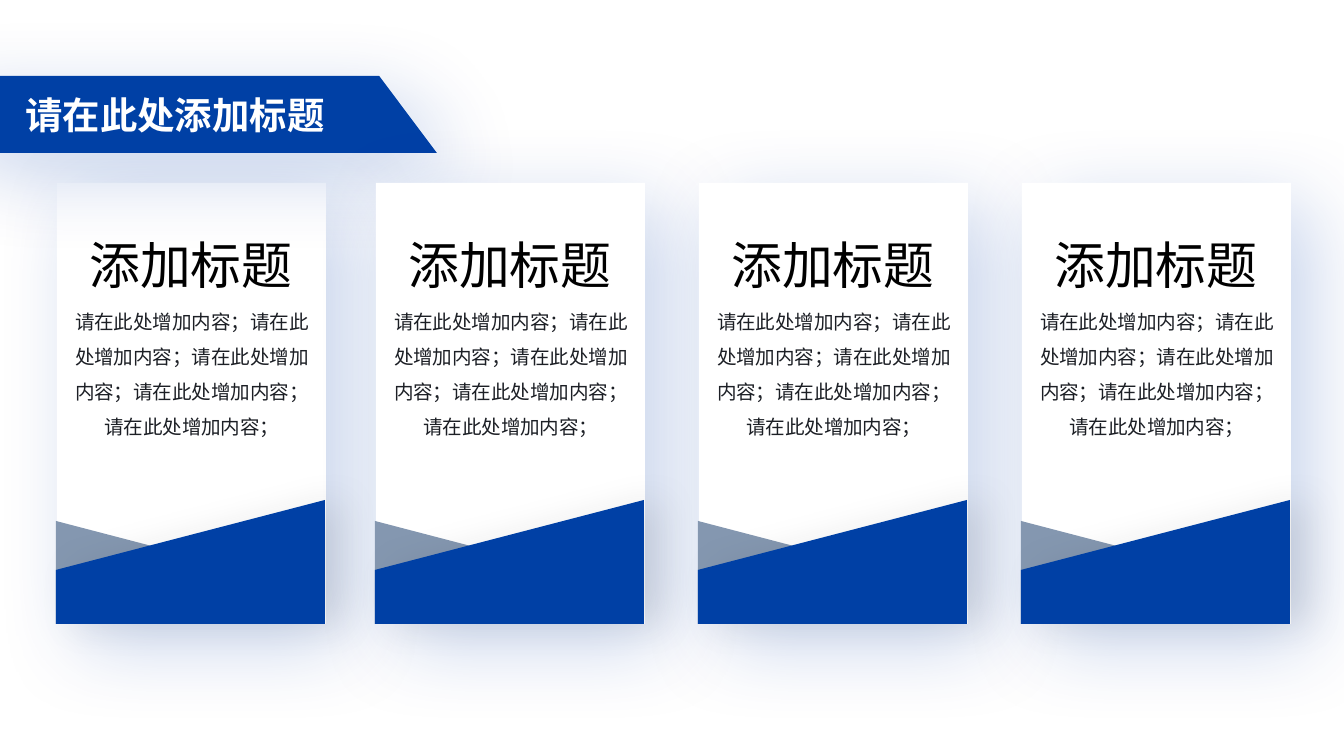
from lxml.etree import SubElement
from pptx import Presentation
from pptx.dml.color import RGBColor
from pptx.enum.shapes import MSO_SHAPE
from pptx.enum.text import MSO_ANCHOR, MSO_AUTO_SIZE, PP_ALIGN
from pptx.oxml.ns import qn
from pptx.util import Pt

PX = 914400 / 134.4

THEME = {
    "font": "Noto Sans CJK SC",
    "blue": "0040A5",
    "slate": "8497B0",
    "white": "FFFFFF",
    "banner": {"size": 20, "color": "FFFFFF", "bold": True},
    "heading": {"size": 27.2, "color": "000000", "bold": False},
    "body": {"size": 10.5, "color": "1C1F25", "bold": False},
    "glow": {"color": "003DAB", "alpha": 22, "blur": 46, "dist": 16, "angle": 45},
    "shade": {"color": "262626", "alpha": 10, "blur": 20, "dist": 10, "angle": 0},
}


def paint(shape, color, shadow=None):
    """Fill a shape without outline and give it an optional outer shadow."""
    shape.fill.solid()
    shape.fill.fore_color.rgb = RGBColor.from_string(THEME[color])
    shape.line.fill.background()
    shape.shadow.inherit = False
    if shadow:
        values = THEME[shadow]
        effects = shape.element.spPr.find(qn("a:effectLst"))
        outer = SubElement(effects, qn("a:outerShdw"), {
            "blurRad": str(Pt(values["blur"])),
            "dist": str(Pt(values["dist"])),
            "dir": str(values["angle"] * 60000),
            "algn": "ctr",
            "rotWithShape": "0",
        })
        tint = SubElement(outer, qn("a:srgbClr"), val=values["color"])
        SubElement(tint, qn("a:alpha"), val=str(values["alpha"] * 1000))


def write(shape, text, style, **frame_format):
    """Put one centred paragraph into a shape, without insets."""
    frame = shape.text_frame
    settings = {"margin_left": 0, "margin_right": 0, "margin_top": 0,
                "margin_bottom": 0, **frame_format}
    for name, value in settings.items():
        setattr(frame, name, value)
    paragraph = frame.paragraphs[0]
    paragraph.alignment = PP_ALIGN.CENTER
    run = paragraph.add_run()
    run.text = text
    look = THEME[style]
    for name, value in {"name": THEME["font"], "size": Pt(look["size"]),
                        "bold": look["bold"]}.items():
        setattr(run.font, name, value)
    run.font.color.rgb = RGBColor.from_string(look["color"])
    SubElement(run.font._element, qn("a:ea"), typeface=THEME["font"])
    return paragraph


prs = Presentation()
prs.slide_width = round(1344 * PX)
prs.slide_height = round(756 * PX)
slide = prs.slides.add_slide(prs.slide_layouts[5])
shapes = slide.shapes

# Cards
CARD_LEFTS = [56, 375, 698, 1021]
CARD_TOP, CARD_BOTTOM, CARD_WIDTH = 183, 624, 269
WEDGES = [
    ("slate", None, [(0, 521), (222, 579), (222, CARD_BOTTOM), (0, CARD_BOTTOM)]),
    ("blue", "shade", [(CARD_WIDTH, 500), (0, 570), (0, CARD_BOTTOM),
                       (CARD_WIDTH, CARD_BOTTOM)]),
]
BODY = "请在此处增加内容；" * 5

bodies = []
for left in CARD_LEFTS:
    panel = shapes.add_shape(
        MSO_SHAPE.RECTANGLE, round((left + 1) * PX), round(CARD_TOP * PX),
        round(CARD_WIDTH * PX), round((CARD_BOTTOM - CARD_TOP) * PX))
    paint(panel, "white", "glow")

    for color, shadow, corners in WEDGES:
        points = [(left + x, y) for x, y in corners]
        builder = shapes.build_freeform(*points[0], scale=PX)
        builder.add_line_segments(points[1:], close=True)
        paint(builder.convert_to_shape(), color, shadow)

    heading = shapes.add_textbox(round((left + 16) * PX), round(231 * PX),
                                 round(238 * PX), round(67 * PX))
    write(heading, "添加标题", "heading", word_wrap=False,
          vertical_anchor=MSO_ANCHOR.MIDDLE)

    body = shapes.add_textbox(round((left + 17) * PX), round(298 * PX),
                              round(238 * PX), round(142 * PX))
    write(body, BODY, "body", word_wrap=True,
          auto_size=MSO_AUTO_SIZE.SHAPE_TO_FIT_TEXT).line_spacing = 1.5
    bodies.append(body)

# Banner: its glow falls on the first card only
banner = shapes.add_shape(MSO_SHAPE.PARALLELOGRAM, round(-86 * PX), round(76 * PX),
                          round(523 * PX), round(77 * PX))
banner.adjustments[0] = 0.75
banner.element.spPr.find(qn("a:xfrm")).set("flipH", "1")
paint(banner, "blue", "glow")
bodies[0].element.addnext(banner.element)

title = shapes.title
for side, length in {"left": 0, "top": 76, "width": 350, "height": 77}.items():
    setattr(title, side, round(length * PX))
write(title, "请在此处添加标题", "banner", word_wrap=True,
      vertical_anchor=MSO_ANCHOR.MIDDLE, auto_size=MSO_AUTO_SIZE.NONE)
banner.element.addnext(title.element)

prs.save("out.pptx")
